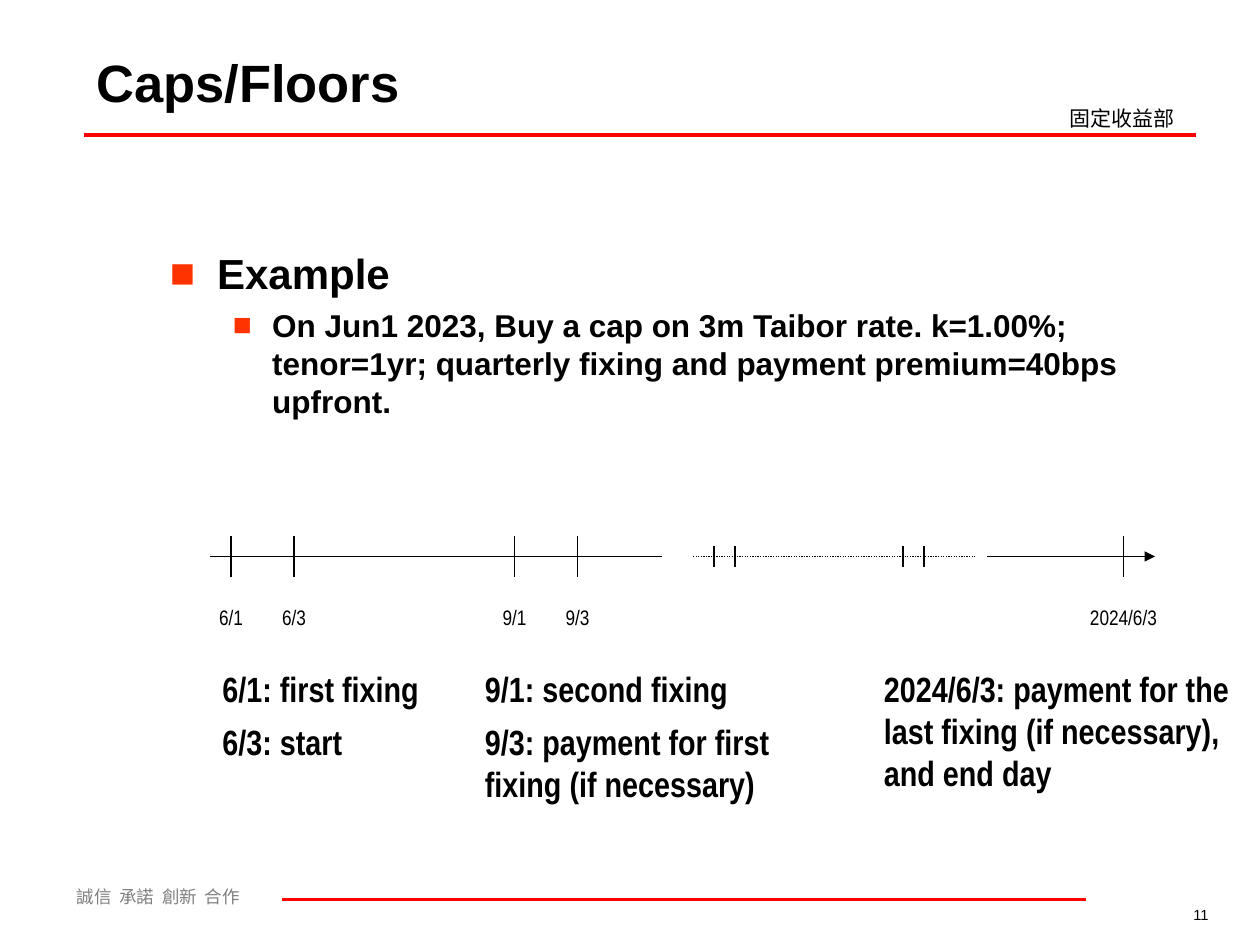
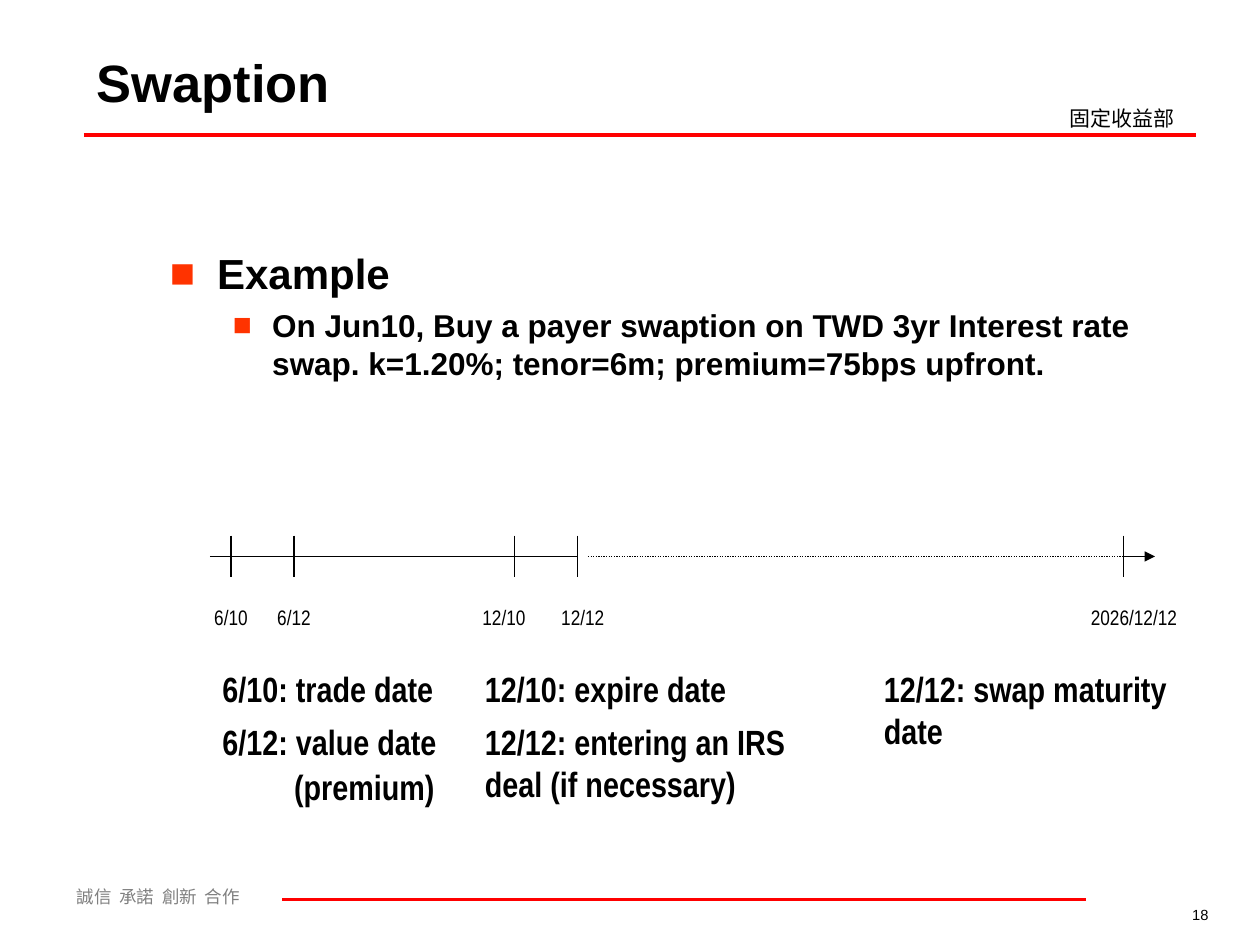
from lxml.etree import SubElement
from pptx import Presentation
from pptx.dml.color import RGBColor
from pptx.enum.dml import MSO_LINE
from pptx.enum.shapes import MSO_CONNECTOR
from pptx.enum.text import MSO_ANCHOR, MSO_AUTO_SIZE, PP_ALIGN
from pptx.oxml.ns import qn
from pptx.util import Pt

COLORS = {"ink": "000000", "rule": "FF0000", "motto": "808080", "bullet": "FF3300"}
SANS, NARROW, CJK = "Arial", "Arial Narrow", "Noto Sans CJK SC"
TITLE_ONLY = 5
AXIS_Y, LABEL_Y = 318, 342
TICKS = (132, 168, 294, 330, 642)
NOTE_COLUMNS = (120, 270, 498)
NOTE_ROWS = (378, 408)


class Deck:
    def __init__(self):
        self.prs = Presentation()
        self.prs.slide_width, self.prs.slide_height = Pt(720), Pt(540)
        self.slide = None

    def add_run(self, paragraph, text, size, font=SANS, color="ink", bold=False):
        run = paragraph.add_run()
        run.text = text
        run.font.size = Pt(size)
        run.font.bold = bold
        run.font.color.rgb = RGBColor.from_string(COLORS[color])
        run.font.name = font
        if font == CJK:
            SubElement(run.font._element, qn("a:ea"), typeface=font)

    def add_text(self, text, x, y, width, height, size, font=SANS, color="ink",
                 bold=False, align=PP_ALIGN.LEFT, grow=True):
        box = self.slide.shapes.add_textbox(Pt(x), Pt(y), Pt(width), Pt(height))
        frame = box.text_frame
        frame.word_wrap = True
        frame.auto_size = MSO_AUTO_SIZE.SHAPE_TO_FIT_TEXT if grow else MSO_AUTO_SIZE.NONE
        paragraph = frame.paragraphs[0]
        paragraph.alignment = align
        if text:
            self.add_run(paragraph, text, size, font, color, bold)
        return frame

    def add_line(self, x1, y1, x2, y2, color="ink", weight=0.75, dotted=False, arrow=False):
        line = self.slide.shapes.add_connector(
            MSO_CONNECTOR.STRAIGHT, Pt(x1), Pt(y1), Pt(x2), Pt(y2))
        line.line.color.rgb = RGBColor.from_string(COLORS[color])
        line.line.width = Pt(weight)
        if dotted:
            line.line.dash_style = MSO_LINE.ROUND_DOT
        if arrow:
            SubElement(line.line._ln, qn("a:tailEnd"), type="triangle")
        SubElement(line._element.spPr, qn("a:effectLst"))

    def add_title(self, text):
        title = self.slide.shapes.title
        title.left, title.top, title.width, title.height = Pt(48), Pt(21.6), Pt(527), Pt(49.7)
        title.text_frame.vertical_anchor = MSO_ANCHOR.MIDDLE
        paragraph = title.text_frame.paragraphs[0]
        paragraph.alignment = PP_ALIGN.LEFT
        self.add_run(paragraph, text, 30, bold=True)

    def add_motto(self):
        words = ("誠信", "承諾", "創新", "合作")
        frame = self.add_text("", 36.7, 502.6, 181.4, 19.4, 10)
        paragraph = frame.paragraphs[0]
        stops = SubElement(paragraph._p.get_or_add_pPr(), qn("a:tabLst"))
        for i in range(1, len(words)):
            SubElement(stops, qn("a:tab"), pos=str(Pt(24.4 * i)), algn="l")
        self.add_run(paragraph, "\t".join(words), 10, CJK, "motto")

    def start_slide(self, title, number):
        self.slide = self.prs.slides.add_slide(self.prs.slide_layouts[TITLE_ONLY])
        self.add_motto()
        self.add_line(48, 77, 683.3, 77, "rule", 2.25)
        self.add_line(161.3, 514, 620.6, 514, "rule", 2.25)
        self.add_text("固定收益部", 604, 56.9, 90.7, 21.6, 12, CJK)
        self.add_text(number, 598.3, 514, 99.4, 17.3, 8.4, align=PP_ALIGN.RIGHT, grow=False)
        self.add_title(title)

    def add_bullet(self, paragraph, text, size, margin, hang):
        props = paragraph._p.get_or_add_pPr()
        props.set("marL", str(Pt(margin)))
        props.set("indent", str(Pt(-hang)))
        color = SubElement(props, qn("a:buClr"))
        SubElement(color, qn("a:srgbClr"), val=COLORS["bullet"])
        SubElement(props, qn("a:buFont"), typeface=SANS)
        SubElement(props, qn("a:buChar"), char="■")
        self.add_run(paragraph, text, size, bold=True)

    def add_example(self, terms):
        frame = self.add_text("", 90, 138, 612, 324, 24, grow=False)
        self.add_bullet(frame.paragraphs[0], "Example", 24, 27, 27)
        detail = frame.add_paragraph()
        detail.level = 1
        self.add_bullet(detail, terms, 18, 58.5, 22.5)
        detail.space_before = Pt(4.5)

    def add_tick(self, x, half):
        self.add_line(x, AXIS_Y - half, x, AXIS_Y + half)

    def add_timeline(self, solid_end, dotted, arrow_start, labels):
        self.add_line(120, AXIS_Y, solid_end, AXIS_Y)
        for x in TICKS:
            self.add_tick(x, 12)
        self.add_line(arrow_start, AXIS_Y, 660, AXIS_Y, arrow=True)
        self.add_line(dotted[0], AXIS_Y, dotted[1], AXIS_Y, dotted=True)
        for text, center, width in labels:
            self.add_text(text, center - width / 2, LABEL_Y, width, 21.6, 12, NARROW,
                          align=PP_ALIGN.CENTER)

    def add_note(self, text, column, row, width, lines=1):
        return self.add_text(text, NOTE_COLUMNS[column], NOTE_ROWS[row], width,
                             8 + 24 * lines, 20, NARROW, bold=True)


def build_caps(deck):
    deck.start_slide("Caps/Floors", "11")
    deck.add_example("On Jun1 2023, Buy a cap on 3m Taibor rate. k=1.00%; tenor=1yr; "
                     "quarterly fixing and payment premium=40bps upfront.")
    dates = ("6/1", "6/3", "9/1", "9/3", "2024/6/3")
    widths = (36, 36, 36, 36, 53.4)
    deck.add_timeline(378, (396, 558), 564, zip(dates, TICKS, widths))
    for x in (408, 420, 516, 528):
        deck.add_tick(x, 6)
    deck.add_note("6/1: first fixing", 0, 0, 168)
    deck.add_note("6/3: start", 0, 1, 168)
    deck.add_note("9/1: second fixing", 1, 0, 168)
    deck.add_note("9/3: payment for first fixing (if necessary)", 1, 1, 204, 2)
    deck.add_note("2024/6/3: payment for the last fixing (if necessary), and end day",
                  2, 0, 214, 3)


def build_swaption(deck):
    deck.start_slide("Swaption", "18")
    deck.add_example("On Jun10, Buy a payer swaption on TWD 3yr Interest rate swap. "
                     "k=1.20%; tenor=6m; premium=75bps upfront.")
    labels = (("6/10", 132, 36), ("6/12", 168, 36), ("12/10", 288, 48),
              ("12/12", 333, 42), ("2026/12/12", 648, 72))
    deck.add_timeline(330, (336, 642), 642, labels)
    deck.add_note("6/10: trade date", 0, 0, 168)
    value_date = deck.add_note("6/12: value date", 0, 1, 168, 2)
    premium = value_date.add_paragraph()
    premium._p.get_or_add_pPr().set("marL", str(Pt(41)))
    premium.line_spacing = 0.5
    premium.space_before = Pt(12.5)
    deck.add_run(premium, "(premium)", 20, NARROW, bold=True)
    deck.add_note("12/10: expire date", 1, 0, 192)
    deck.add_note("12/12: entering an IRS deal (if necessary)", 1, 1, 204, 2)
    deck.add_note("12/12: swap maturity date", 2, 0, 204, 2)


def main():
    deck = Deck()
    build_caps(deck)
    build_swaption(deck)
    deck.prs.save("out.pptx")


if __name__ == "__main__":
    main()
